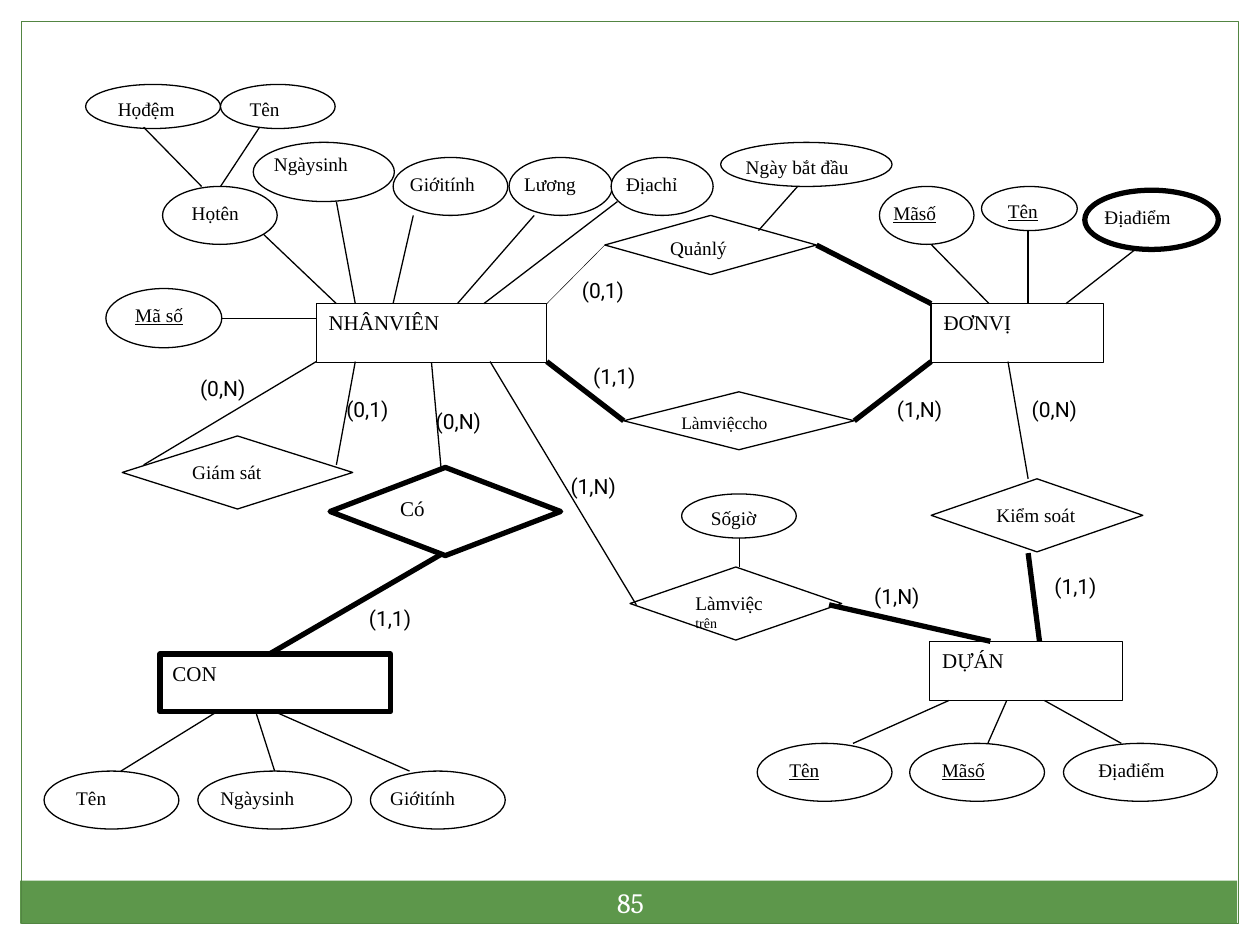
from lxml.etree import SubElement
from pptx import Presentation
from pptx.dml.color import RGBColor
from pptx.enum.shapes import MSO_CONNECTOR, MSO_SHAPE
from pptx.enum.text import MSO_ANCHOR, PP_ALIGN
from pptx.oxml.ns import qn
from pptx.util import Inches, Pt

BLACK = RGBColor(0, 0, 0)
WHITE = RGBColor(0xFF, 0xFF, 0xFF)
GREEN = RGBColor(0x5D, 0x97, 0x4B)
EDGE = RGBColor(0x52, 0x85, 0x42)
THIN, BOLD, FINE = 0.75, 3, 0.25
SERIF, SANS = "Times New Roman", "Roboto"

# text, (left, top, width, height), then any format that differs
ENTITIES = [
    ("NHÂNVIÊN", (2.51, 2.41, 1.83, 0.47), {}),
    ("ĐƠNVỊ", (7.39, 2.41, 1.37, 0.47), {}),
    ("CON", (1.27, 5.19, 1.83, 0.46), {"line": BOLD}),
    ("DỰÁN", (7.38, 5.09, 1.53, 0.47), {}),
]
RELATIONS = [
    ("Quảnlý", (4.8, 1.71, 1.68, 0.47), {}),
    ("Làmviệccho", (4.95, 3.11, 1.83, 0.46), {"size": 10, "side": 0}),
    ("Kiểm soát", (7.39, 3.8, 1.68, 0.58), {}),
    ("Làmviệc", (5, 4.5, 1.68, 0.58), {"small": " trên"}),
    ("Giám sát", (0.97, 3.46, 1.83, 0.58), {}),
    ("Có", (2.62, 3.71, 1.83, 0.7), {"size": 12, "line": BOLD}),
]
KEY, SLIM = {"key": True}, {"side": 0}
ATTRIBUTES = [
    ("Mãsố", (6.98, 1.48, 0.75, 0.46), KEY | SLIM),
    ("Tên", (7.79, 1.48, 0.76, 0.35), KEY),
    ("Địađiểm", (8.61, 1.51, 1.06, 0.47), SLIM | {"line": BOLD}),
    ("Họtên", (1.29, 1.48, 0.91, 0.46), {}),
    ("Mã số", (0.84, 2.29, 0.92, 0.47), KEY),
    ("Họđệm", (0.68, 0.67, 1.07, 0.35), {}),
    ("Tên", (1.75, 0.67, 0.91, 0.35), {}),
    ("Ngàysinh", (2.01, 1.13, 1.12, 0.47), SLIM | {"top": 0.01}),
    ("Lương", (4.04, 1.25, 0.82, 0.46), SLIM),
    ("Giớitính", (3.12, 1.25, 0.91, 0.46), SLIM),
    ("Địachỉ", (4.85, 1.25, 0.81, 0.46), SLIM),
    ("Ngày bắt đầu", (5.72, 1.13, 1.36, 0.35), SLIM),
    ("Sốgiờ", (5.41, 3.92, 0.91, 0.35), {}),
    ("Tên", (0.35, 6.12, 1.07, 0.46), {}),
    ("Ngàysinh", (1.57, 6.12, 1.22, 0.46), SLIM),
    ("Giớitính", (2.94, 6.12, 1.07, 0.46), SLIM),
    ("Tên", (6.01, 5.9, 1.07, 0.46), KEY),
    ("Mãsố", (7.22, 5.9, 1.07, 0.46), KEY),
    ("Địađiểm", (8.44, 5.9, 1.22, 0.46), {}),
]

# from x, from y, to x, to y, weight
ROLES = [
    (2.06, 1.83, 2.67, 2.41, THIN),
    (4.34, 2.41, 4.8, 1.94, FINE),
    (6.48, 1.94, 7.39, 2.41, BOLD),
    (4.34, 2.87, 4.95, 3.34, BOLD),
    (6.78, 3.34, 7.39, 2.87, BOLD),
    (3.89, 2.87, 5.05, 4.8, THIN),
    (6.58, 4.8, 7.86, 5.09, BOLD),
    (1.14, 3.69, 2.51, 2.87, THIN),
    (2.67, 3.69, 2.82, 2.87, THIN),
    (3.43, 2.87, 3.5, 3.71, THIN),
    (3.5, 4.4, 2.14, 5.19, BOLD),
    (8, 2.87, 8.16, 3.8, THIN),
    (8.16, 4.39, 8.25, 5.09, BOLD),
]
LINKS = [
    (1.75, 2.53, 2.51, 2.53), (1.14, 1.01, 1.6, 1.48),
    (2.06, 1.01, 1.75, 1.48), (2.67, 1.6, 2.82, 2.41),
    (3.28, 1.71, 3.12, 2.41), (4.24, 1.71, 3.63, 2.41),
    (4.9, 1.6, 3.84, 2.41), (6.33, 1.48, 6.02, 1.83),
    (7.39, 1.94, 7.85, 2.41), (8.16, 1.83, 8.16, 2.41),
    (9.01, 1.98, 8.46, 2.41), (5.87, 4.27, 5.87, 4.5),
    (1.72, 5.65, 0.96, 6.12), (2.03, 5.65, 2.18, 6.12),
    (2.18, 5.65, 3.25, 6.12), (7.53, 5.56, 6.77, 5.9),
    (7.99, 5.56, 7.84, 5.9), (8.29, 5.56, 8.9, 5.9),
]
COUNTS = [
    ("(1,N)", 7.02, 3.1), ("(1,1)", 8.27, 4.5), ("(1,1)", 4.61, 2.84),
    ("(0,1)", 2.65, 3.1), ("(0,N)", 8.09, 3.1), ("(1,N)", 4.43, 3.71),
    ("(1,N)", 6.84, 4.58), ("(0,N)", 3.36, 3.19), ("(1,1)", 2.83, 4.76),
    ("(0,N)", 1.49, 2.93), ("(0,1)", 4.52, 2.15),
]

deck = Presentation()
deck.slide_width, deck.slide_height = Inches(10), Inches(7.5)
slide = deck.slides.add_slide(deck.slide_layouts[6])
shapes = slide.shapes
nodes = []


def put(item, values):
    for name, value in values.items():
        setattr(item, name, value)


def write(para, text, size, face=SERIF, color=BLACK, **more):
    run = para.add_run()
    run.text = text
    put(run.font, {"size": Pt(size), "name": face, **more})
    run.font.color.rgb = color


def draw(kind, box, fill=None, edge=None, weight=THIN):
    shape = shapes.add_shape(kind, *map(Inches, box))
    shape.shadow.inherit = False
    for part, color in ((shape.fill, fill), (shape.line.fill, edge)):
        if color is None:
            part.background()
        else:
            part.solid()
            part.fore_color.rgb = color
    if edge is not None:
        shape.line.width = Pt(weight)
    return shape


def node(kind, text, box, form, base):
    shape = draw(kind, box, WHITE, BLACK, form.get("line", THIN))
    side, top = Inches(form.get("side", 0.1)), Inches(form.get("top", 0.05))
    frame = shape.text_frame
    put(frame, {"word_wrap": True, "vertical_anchor": MSO_ANCHOR.TOP,
                "margin_left": side, "margin_right": side,
                "margin_top": top, "margin_bottom": top})
    para = frame.paragraphs[0]
    para.alignment = PP_ALIGN.LEFT
    write(para, text, form.get("size", base), underline=form.get("key"))
    if "small" in form:
        write(para, form["small"], 8)
    if kind != MSO_SHAPE.OVAL:
        nodes.append((shape, box))


def join(attach, x, y):
    """Attach a line end to the node whose side middle lies there."""
    for shape, (left, top, wide, high) in nodes:
        mids = [(left + wide / 2, top), (left, top + high / 2),
                (left + wide / 2, top + high), (left + wide, top + high / 2)]
        for site, (a, b) in enumerate(mids):
            if max(abs(a - x), abs(b - y)) < 0.02:
                attach(shape, site)
                return


def link(x1, y1, x2, y2, weight=THIN):
    line = shapes.add_connector(MSO_CONNECTOR.STRAIGHT,
                                *map(Inches, (x1, y1, x2, y2)))
    line.line.color.rgb = BLACK
    line.line.width = Pt(weight)
    SubElement(line._element.spPr, qn("a:effectLst"))
    join(line.begin_connect, x1, y1)
    join(line.end_connect, x2, y2)


def label(box, text, size, face, color, **form):
    frame = shapes.add_textbox(*map(Inches, box)).text_frame
    put(frame, {"word_wrap": False, **form})
    write(frame.paragraphs[0], text, size, face, color)
    return frame


draw(MSO_SHAPE.RECTANGLE, (0.16, 6.99, 9.66, 0.34), GREEN)
draw(MSO_SHAPE.RECTANGLE, (0.17, 0.17, 9.66, 7.16), None, EDGE)
page = label((4.67, 6.92, 0.67, 0.48), "85", 16, "Cambria", WHITE,
             word_wrap=True, vertical_anchor=MSO_ANCHOR.MIDDLE)
page.paragraphs[0].alignment = PP_ALIGN.CENTER

for entity in ENTITIES:
    node(MSO_SHAPE.RECTANGLE, *entity, 12)
for relation in RELATIONS:
    node(MSO_SHAPE.DIAMOND, *relation, 11)
for role in ROLES:
    link(*role)
for attribute in ATTRIBUTES:
    node(MSO_SHAPE.OVAL, *attribute, 11)
for ends in LINKS:
    link(*ends)
for text, x, y in COUNTS:
    label((x, y, 0.56, 0.3), text, 12, SANS, BLACK)

deck.save("out.pptx")
